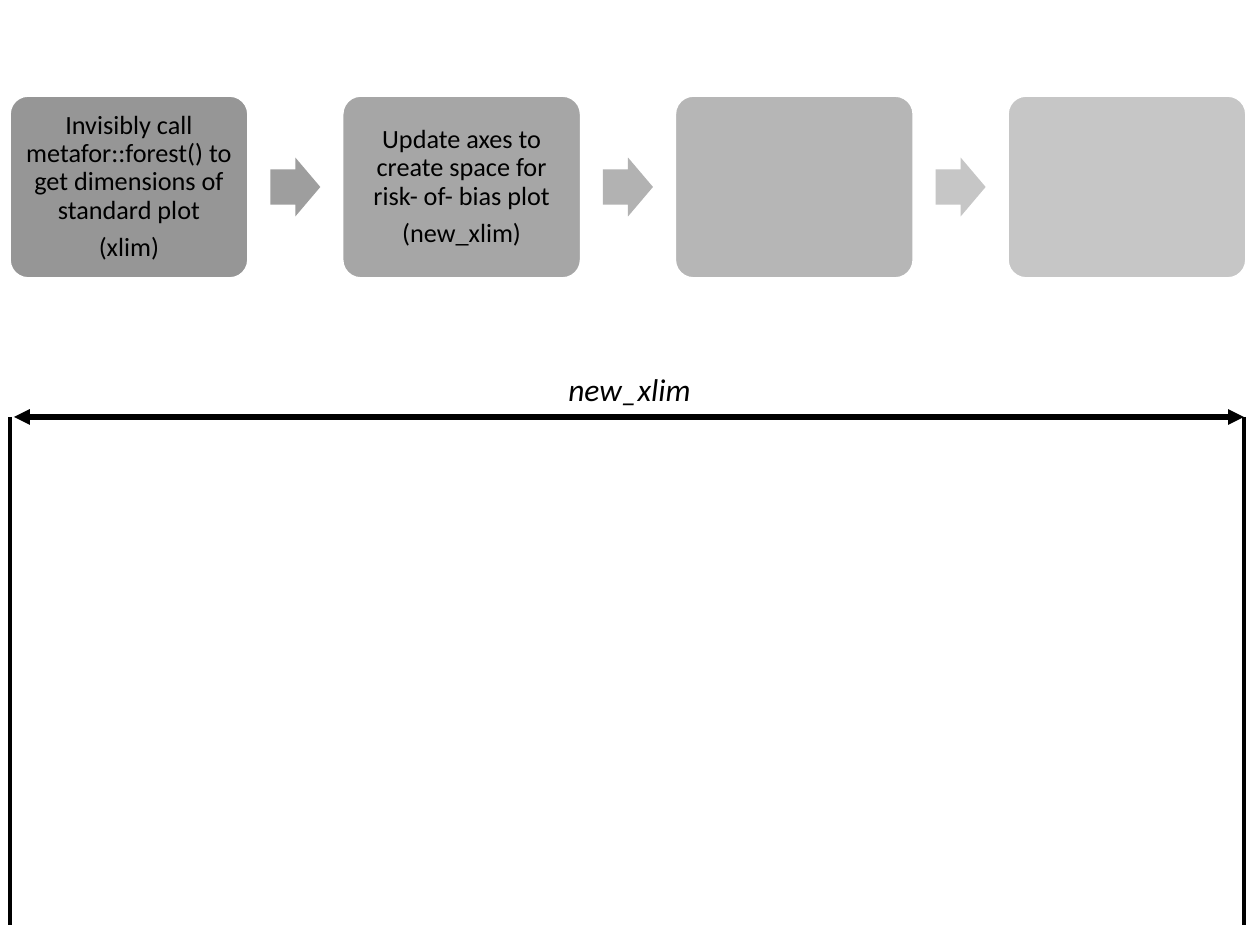
from dataclasses import dataclass

from lxml import etree
from pptx import Presentation
from pptx.dml.color import RGBColor
from pptx.enum.shapes import MSO_CONNECTOR, MSO_SHAPE
from pptx.enum.text import MSO_ANCHOR, PP_ALIGN
from pptx.oxml.ns import qn
from pptx.util import Pt

ROUNDED = MSO_SHAPE.ROUNDED_RECTANGLE
RIGHT_ARROW = MSO_SHAPE.RIGHT_ARROW
STRAIGHT = MSO_CONNECTOR.STRAIGHT
MIDDLE = MSO_ANCHOR.MIDDLE
CENTER, LEFT = PP_ALIGN.CENTER, PP_ALIGN.LEFT
PX_PER_INCH = 126


@dataclass(frozen=True)
class Theme:
    font: str = "Calibri"
    ink: str = "000000"
    outline: str = "FFFFFF"
    step_fills: tuple = ("969696", "A6A6A6", "B6B6B6", "C6C6C6")
    arrow_fills: tuple = ("9E9E9E", "B2B2B2", "C6C6C6")
    step_size: int = 15
    label_size: int = 18


THEME = Theme()
STEPS = [
    ("Invisibly call metafor::forest() to get dimensions of standard plot", "(xlim)"),
    ("Update axes to create space for risk- of- bias plot", "(new_xlim)"),
    (),
    (),
]


def px(value):
    return round(value * 914400 / PX_PER_INCH)


def color(value):
    return RGBColor.from_string(value)


def write_text(para, text, size, align=LEFT, italic=False, spacing=1.0, after=0):
    para.alignment = align
    para.line_spacing = spacing
    para.space_after = Pt(after)
    span = para.add_run()
    span.text = text
    span.font.name = THEME.font
    span.font.size = Pt(size)
    span.font.italic = italic
    span.font.color.rgb = color(THEME.ink)


def add_block(page, kind, box, fill, adjustments, outline=None):
    shape = page.shapes.add_shape(kind, *map(px, box))
    shape.shadow.inherit = False
    for index, value in enumerate(adjustments):
        shape.adjustments[index] = value
    shape.fill.solid()
    shape.fill.fore_color.rgb = color(fill)
    if outline:
        shape.line.color.rgb = color(outline)
        shape.line.width = Pt(1)
    else:
        shape.line.fill.background()
    return shape


def add_line(page, start, end, width, arrows=False):
    line = page.shapes.add_connector(STRAIGHT, *map(px, start + end))
    line.line.color.rgb = color(THEME.ink)
    line.line.width = Pt(width)
    if arrows:
        outline = line.line._get_or_add_ln()
        for tag in ("a:headEnd", "a:tailEnd"):
            etree.SubElement(outline, qn(tag), type="triangle")
    etree.SubElement(line._element.spPr, qn("a:effectLst"))


def add_step(page, box, fill, lines):
    card = add_block(page, ROUNDED, box, fill, [0.1], THEME.outline)
    frame = card.text_frame
    frame.word_wrap = True
    frame.vertical_anchor = MIDDLE
    frame.margin_left = frame.margin_right = px(8)
    frame.margin_top = frame.margin_bottom = px(8)
    for index, text in enumerate(lines):
        para = frame.add_paragraph() if index else frame.paragraphs[0]
        write_text(para, text, THEME.step_size, align=CENTER, spacing=0.9, after=5.25)


def add_process(page, box):
    left, top, width, height = box
    card_width, arrow_width, arrow_height = 238, 50, 59
    pitch = (width - card_width) / (len(STEPS) - 1)
    arrow_left = card_width + (pitch - card_width - arrow_width) / 2
    arrow_top = top + (height - arrow_height) / 2
    for index, (lines, fill) in enumerate(zip(STEPS, THEME.step_fills)):
        step_left = left + index * pitch
        add_step(page, (step_left, top, card_width, height), fill, lines)
        if index < len(THEME.arrow_fills):
            arrow_box = (step_left + arrow_left, arrow_top, arrow_width, arrow_height)
            add_block(page, RIGHT_ARROW, arrow_box, THEME.arrow_fills[index], [0.6, 0.5])


def add_span(page, box):
    left, top, width, height = box
    right, bottom = left + width, top + height
    for edge in (left, right):
        add_line(page, (edge, top), (edge, bottom), 2.25)
    add_line(page, (left + 4, top), (right, top), 3, arrows=True)
    label_box = (left + 546, top - 53, 192, 50)
    label = page.shapes.add_textbox(*map(px, label_box))
    label.text_frame.word_wrap = True
    write_text(label.text_frame.paragraphs[0], "new_xlim", THEME.label_size, italic=True)


def main():
    deck = Presentation()
    deck.slide_width, deck.slide_height = px(1260), px(945)
    page = deck.slides.add_slide(deck.slide_layouts[6])
    add_span(page, (10, 417, 1234, 508))
    add_process(page, (10, 96, 1236, 182))
    deck.save("out.pptx")


if __name__ == "__main__":
    main()
